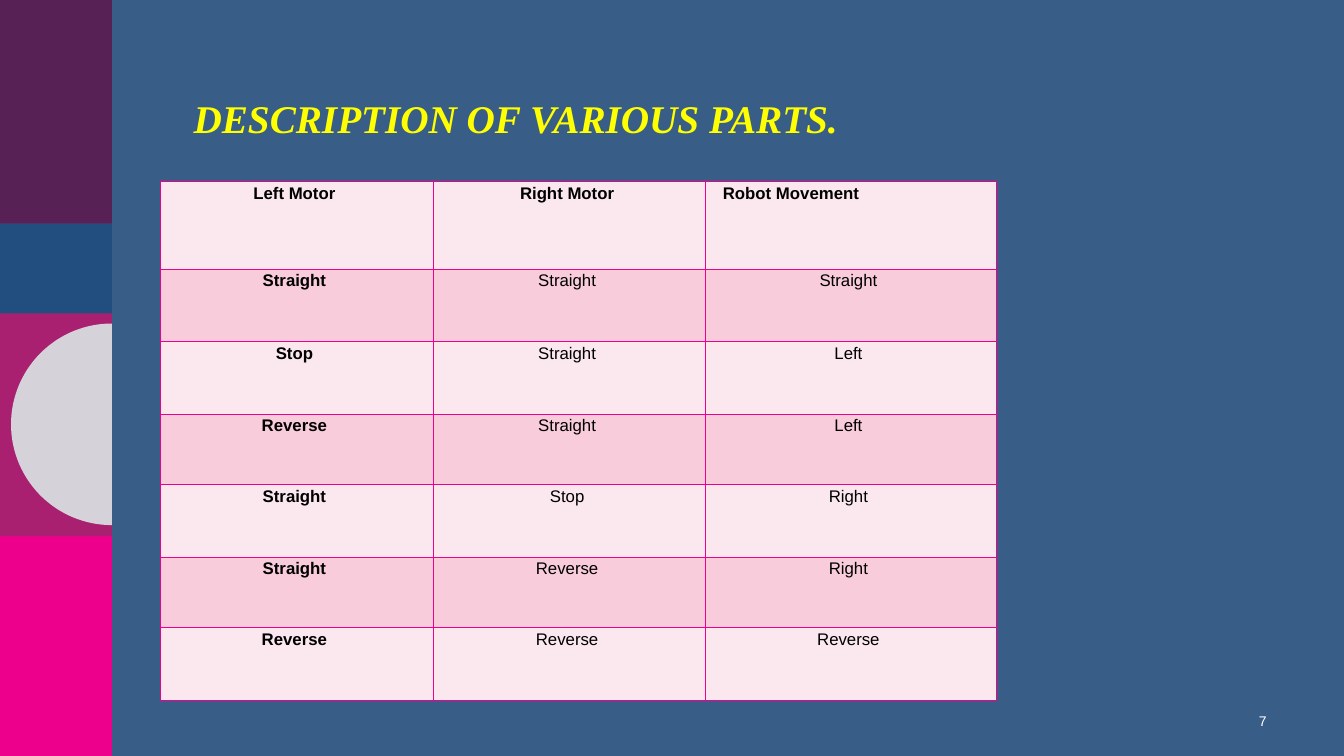
import math

import pptx
import pptx.dml.color
import pptx.enum.shapes
import pptx.enum.text
import pptx.oxml
import pptx.oxml.ns
import pptx.util

Inches = pptx.util.Inches
Pt = pptx.util.Pt
RGBColor = pptx.dml.color.RGBColor
Align = pptx.enum.text.PP_ALIGN
Anchor = pptx.enum.text.MSO_ANCHOR

BLUE = RGBColor(0x38, 0x5E, 0x88)
NAVY = RGBColor(0x22, 0x4E, 0x7F)
PLUM = RGBColor(0x58, 0x21, 0x56)
BERRY = RGBColor(0xAA, 0x20, 0x70)
PINK = RGBColor(0xEC, 0x00, 0x8C)
GREY = RGBColor(0xD5, 0xD2, 0xDA)
PALE = RGBColor(0xFB, 0xE7, 0xEE)
ROSE = RGBColor(0xF8, 0xCC, 0xDA)
YELLOW = RGBColor(0xFF, 0xFF, 0x00)
WHITE = RGBColor(0xFF, 0xFF, 0xFF)
BLACK = RGBColor(0x00, 0x00, 0x00)

BANDS = [(5.28, 2.22, PINK), (3.1, 2.22, BERRY), (0, 2.22, PLUM), (2.22, 0.89, NAVY)]
COLS = [2.71, 2.7, 2.88]
ROWS = [0.87, 0.72, 0.72, 0.7, 0.72, 0.7, 0.72]
MOVES = [
    ("Left Motor", "Right Motor", "Robot Movement"),
    ("Straight", "Straight", "Straight"),
    ("Stop", "Straight", "Left"),
    ("Reverse", "Straight", "Left"),
    ("Straight", "Stop", "Right"),
    ("Straight", "Reverse", "Right"),
    ("Reverse", "Reverse", "Reverse"),
]


class Deck:
    """Holds the style and the current slide, and draws each kind of element."""

    def __init__(self):
        self.font = "Arial"
        self.show = pptx.Presentation()
        self.show.slide_width = Inches(13.33)
        self.show.slide_height = Inches(7.5)
        self.slide = self.show.slides.add_slide(self.show.slide_layouts[5])
        back = self.slide.background.fill
        back.solid()
        back.fore_color.rgb = BLUE

    def paint(self, shape, color):
        shape.shadow.inherit = False
        shape.fill.solid()
        shape.fill.fore_color.rgb = color
        shape.line.fill.background()

    def label(self, para, text, size, color, bold=False, italic=False, font=None):
        run = para.add_run()
        run.text = text
        run.font.name = font or self.font
        run.font.size = Pt(size)
        run.font.bold = bold
        run.font.italic = italic
        run.font.color.rgb = color

    def band(self, top, height, color):
        kind = pptx.enum.shapes.MSO_SHAPE.RECTANGLE
        shape = self.slide.shapes.add_shape(
            kind, 0, Inches(top), Inches(1.11), Inches(height))
        self.paint(shape, color)

    def half_disc(self, x, y, radius, color):
        turns = [math.radians(90 + 2 * step) for step in range(91)]
        points = [(Inches(x + radius * math.cos(turn)), Inches(y + radius * math.sin(turn)))
                  for turn in turns]
        pen = self.slide.shapes.build_freeform(*points[0])
        pen.add_line_segments(points[1:], close=True)
        self.paint(pen.convert_to_shape(), color)

    def title(self, text):
        shape = self.slide.shapes.title
        shape.left, shape.top = Inches(1.82), Inches(0.94)
        shape.width, shape.height = Inches(10.79), Inches(0.73)
        frame = shape.text_frame
        frame.auto_size = pptx.enum.text.MSO_AUTO_SIZE.NONE
        frame.vertical_anchor = Anchor.TOP
        para = frame.paragraphs[0]
        para.alignment = Align.LEFT
        para.line_spacing = 0.9
        self.label(para, text, 28, YELLOW, True, True, "Times New Roman")

    def number(self, text):
        box = self.slide.shapes.add_textbox(
            Inches(12.16), Inches(6.95), Inches(0.5), Inches(0.4))
        frame = box.text_frame
        frame.word_wrap = True
        frame.vertical_anchor = Anchor.MIDDLE
        para = frame.paragraphs[0]
        para.alignment = Align.RIGHT
        self.label(para, text, 10, WHITE)

    def border(self, cell, color):
        props = cell._tc.get_or_add_tcPr()
        for spot, side in enumerate(("lnL", "lnR", "lnT", "lnB")):
            line = pptx.oxml.parse_xml(
                f'<a:{side} {pptx.oxml.ns.nsdecls("a")} w="{Pt(1)}">'
                f'<a:solidFill><a:srgbClr val="{color}"/></a:solidFill></a:{side}>')
            props.insert(spot, line)

    def cell(self, cell, text, fill, bold, align):
        cell.margin_left, cell.margin_right = Inches(0.17), Inches(0.22)
        cell.margin_top, cell.margin_bottom = Inches(0.01), 0
        cell.vertical_anchor = Anchor.TOP
        cell.fill.solid()
        cell.fill.fore_color.rgb = fill
        self.border(cell, PINK)
        para = cell.text_frame.paragraphs[0]
        para.alignment = align
        para.line_spacing = 1.07
        para.space_after = Pt(8)
        self.label(para, text, 12, BLACK, bold)

    def table(self, left, top, cols, rows, data):
        frame = self.slide.shapes.add_table(
            len(rows), len(cols), Inches(left), Inches(top),
            Inches(sum(cols)), Inches(sum(rows)))
        grid = frame.table
        for col, width in zip(grid.columns, cols):
            col.width = Inches(width)
        for row, height in zip(grid.rows, rows):
            row.height = Inches(height)
        for r, words in enumerate(data):
            for c, text in enumerate(words):
                align = Align.LEFT if (r, c) == (0, 2) else Align.CENTER
                fill = ROSE if r % 2 else PALE
                self.cell(grid.cell(r, c), text, fill, r == 0 or c == 0, align)


def main():
    deck = Deck()
    for top, height, color in BANDS:
        deck.band(top, height, color)
    deck.half_disc(1.11, 4.21, 1, GREY)
    deck.title("DESCRIPTION OF VARIOUS PARTS.")
    deck.number("7")
    deck.table(1.59, 1.8, COLS, ROWS, MOVES)
    deck.show.save("out.pptx")


if __name__ == "__main__":
    main()
